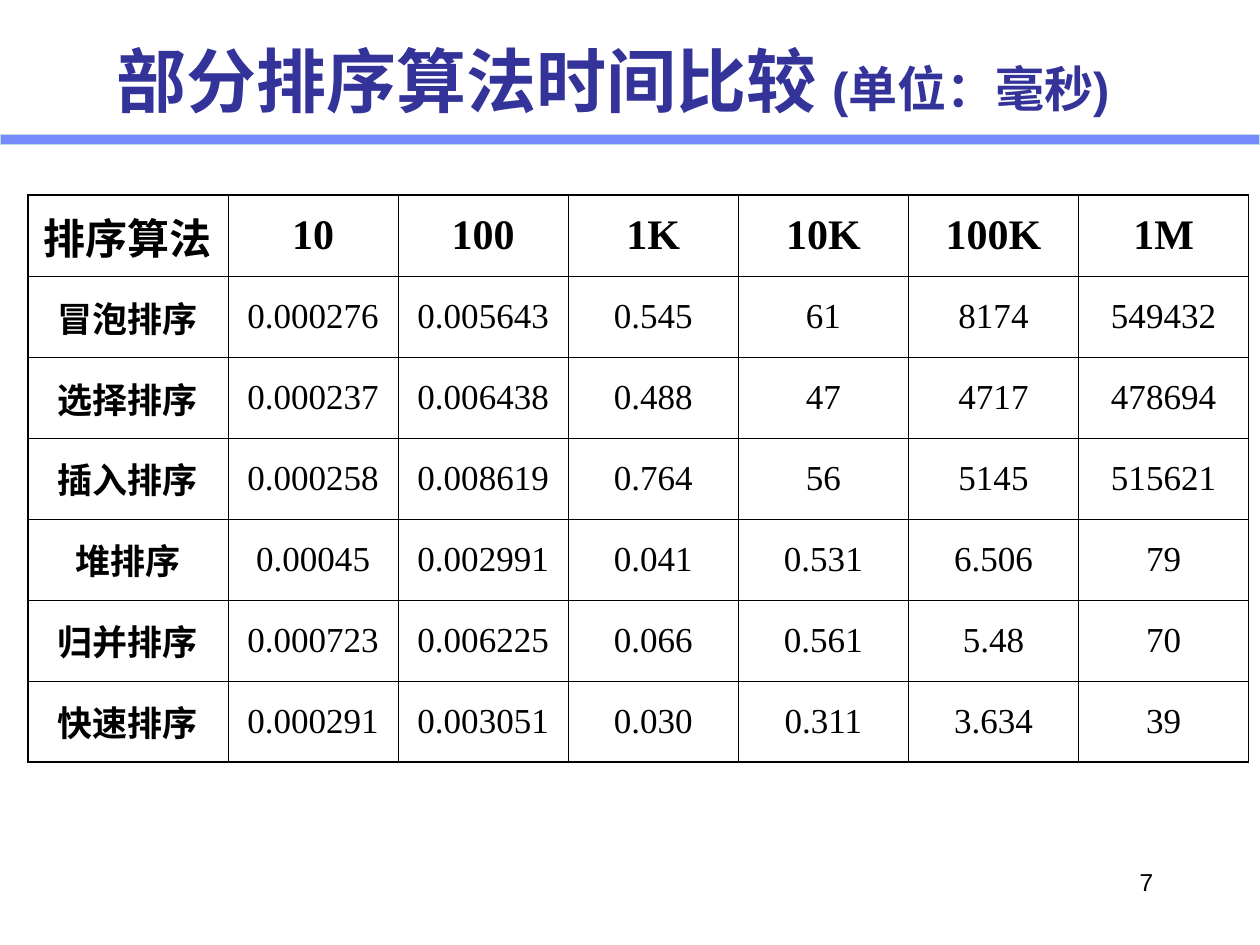
from dataclasses import dataclass

from lxml.etree import SubElement
from pptx import Presentation
from pptx.dml.color import RGBColor as RGB
from pptx.enum.shapes import MSO_SHAPE as SHAPE
from pptx.enum.text import MSO_ANCHOR as ANCHOR, PP_ALIGN as ALIGN
from pptx.oxml.ns import qn
from pptx.util import Inches, Pt


@dataclass(frozen=True)
class Theme:
    ink: str = "000000"
    title: str = "333399"
    bar: str = "7889FB"
    bar_edge: str = "BBE0E3"
    sans: str = "Arial"
    serif: str = "Times New Roman"
    title_size: int = 40
    unit_size: int = 28
    header_size: int = 24
    body_size: int = 20
    number_size: int = 14
    outer_line: float = 1.08
    inner_line: float = 0.45


TITLE = "部分排序算法时间比较 "
UNIT = "(单位：毫秒)"
TIMINGS = [
    ["排序算法", "10", "100", "1K", "10K", "100K", "1M"],
    ["冒泡排序", "0.000276", "0.005643", "0.545", "61", "8174", "549432"],
    ["选择排序", "0.000237", "0.006438", "0.488", "47", "4717", "478694"],
    ["插入排序", "0.000258", "0.008619", "0.764", "56", "5145", "515621"],
    ["堆排序", "0.00045", "0.002991", "0.041", "0.531", "6.506", "79"],
    ["归并排序", "0.000723", "0.006225", "0.066", "0.561", "5.48", "70"],
    ["快速排序", "0.000291", "0.003051", "0.030", "0.311", "3.634", "39"],
]


class SlideBuilder:
    def __init__(self, slide, theme):
        self.s = slide
        self.theme = theme

    def add_run(self, p, text, color, **font):
        r = p.add_run()
        r.text = text
        r.font.color.rgb = RGB.from_string(color)
        for name, value in font.items():
            setattr(r.font, name, value)

    def bar(self, x, y, w, h):
        sp = self.s.shapes.add_shape(
            SHAPE.RECTANGLE, Inches(x), Inches(y), Inches(w), Inches(h))
        sp.shadow.inherit = False
        sp.fill.solid()
        sp.fill.fore_color.rgb = RGB.from_string(self.theme.bar)
        sp.line.color.rgb = RGB.from_string(self.theme.bar_edge)
        sp.line.width = Pt(0.75)

    def text(self, x, y, w, h, runs, color, align=ALIGN.LEFT,
             anchor=ANCHOR.TOP, bold=False):
        """Add a one-paragraph box; runs holds (text, size) pairs."""
        sp = self.s.shapes.add_textbox(
            Inches(x), Inches(y), Inches(w), Inches(h))
        tf = sp.text_frame
        tf.word_wrap = True
        tf.vertical_anchor = anchor
        p = tf.paragraphs[0]
        p.alignment = align
        for text, size in runs:
            self.add_run(p, text, color, name=self.theme.sans,
                         size=Pt(size), bold=bold)

    def table(self, x, y, widths, height, rows):
        t = self.theme
        frame = self.s.shapes.add_table(
            len(rows), len(widths), Inches(x), Inches(y),
            Inches(sum(widths)), Inches(height))
        table = frame.table
        table.first_row = table.horz_banding = False
        for column, width in zip(table.columns, widths):
            column.width = Inches(width)
        last_row, last_col = len(rows) - 1, len(widths) - 1
        for i, row in enumerate(rows):
            for j, text in enumerate(row):
                cell = table.cell(i, j)
                cell.vertical_anchor = ANCHOR.MIDDLE
                p = cell.text_frame.paragraphs[0]
                p.alignment = ALIGN.CENTER
                size = t.body_size if i else t.header_size
                self.add_run(p, text, t.ink, name=t.serif, size=Pt(size),
                             bold=i == 0 or j == 0)
                self.borders(cell, {"L": j == 0, "R": j == last_col,
                                    "T": i == 0, "B": i == last_row})
                cell.fill.background()

    def borders(self, cell, outer_sides):
        """Draw all four sides, heavier where the side is on the outer edge."""
        t = self.theme
        props = cell._tc.get_or_add_tcPr()
        for side, outer in outer_sides.items():
            width = Pt(t.outer_line if outer else t.inner_line)
            line = SubElement(props, qn(f"a:ln{side}"), w=str(width))
            fill = SubElement(line, qn("a:solidFill"))
            SubElement(fill, qn("a:srgbClr"), val=t.ink)


def main():
    prs = Presentation()
    prs.slide_width, prs.slide_height = Inches(10), Inches(7.5)
    theme = Theme()
    slide = SlideBuilder(prs.slides.add_slide(prs.slide_layouts[6]), theme)
    slide.bar(0, 1.07, 10, 0.08)
    slide.text(0.83, 0.01, 8.5, 1.25,
               [(TITLE, theme.title_size), (UNIT, theme.unit_size)],
               theme.title, anchor=ANCHOR.MIDDLE, bold=True)
    slide.table(0.22, 1.55, [1.59] + [1.35] * 6, 4.5, TIMINGS)
    slide.text(7.17, 6.83, 2.08, 0.5, [("7", theme.number_size)],
               theme.ink, align=ALIGN.RIGHT)
    prs.save("out.pptx")


if __name__ == "__main__":
    main()
